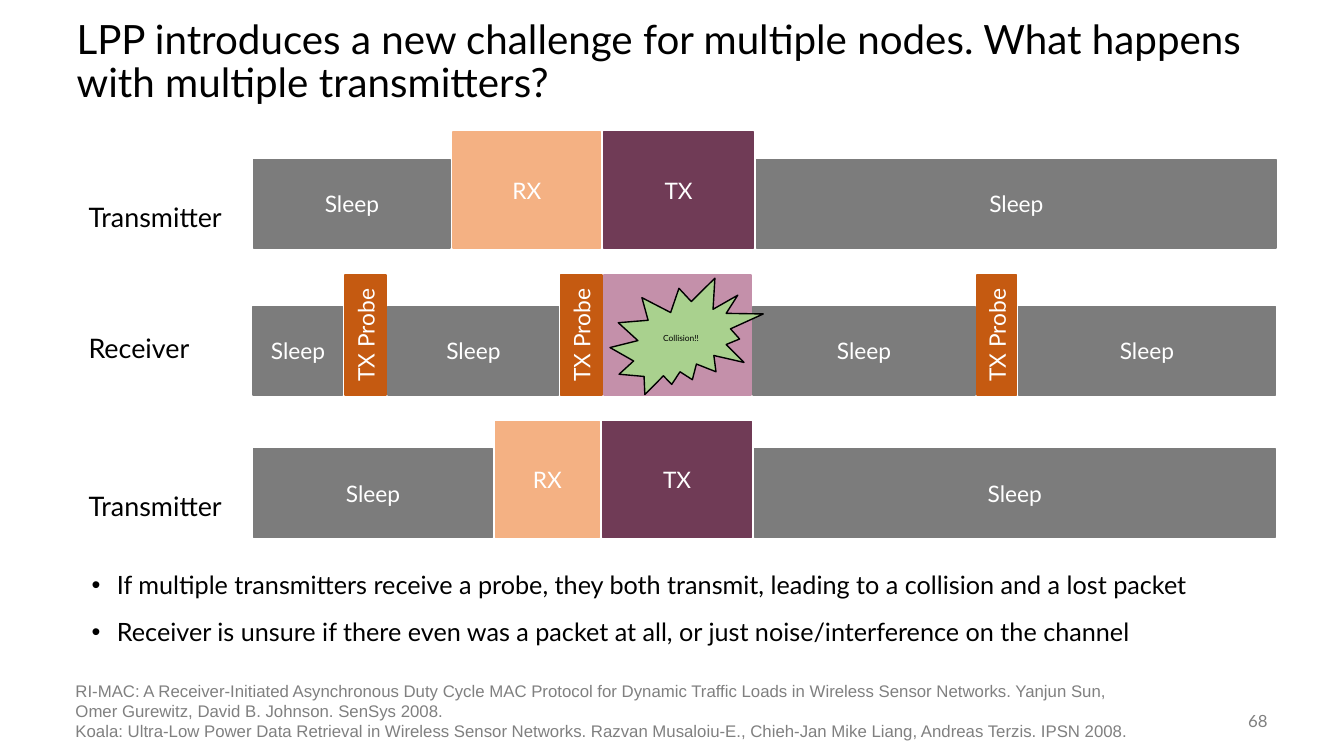
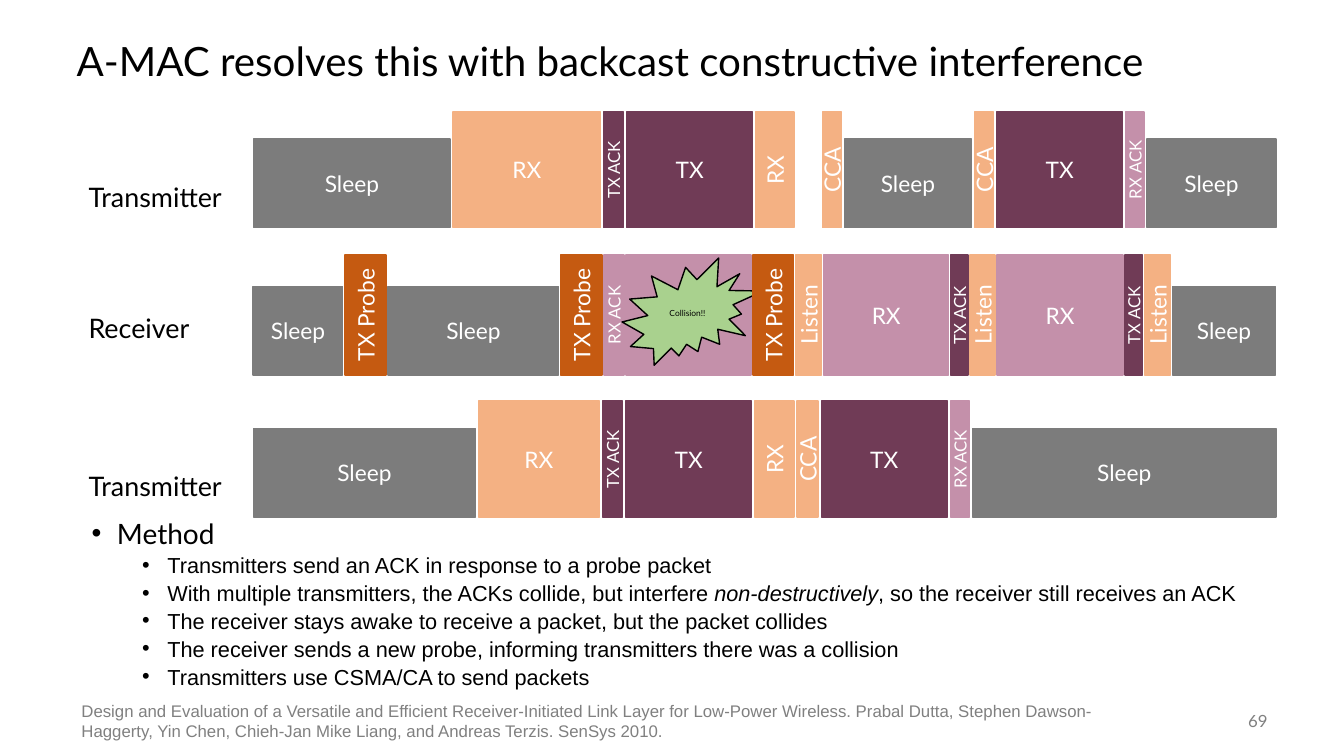
from dataclasses import dataclass

from lxml import etree
from pptx import Presentation
from pptx.dml.color import RGBColor
from pptx.enum.shapes import MSO_SHAPE
from pptx.enum.text import MSO_ANCHOR, MSO_AUTO_SIZE, PP_ALIGN
from pptx.oxml.ns import qn
from pptx.util import Inches, Pt

RECT = MSO_SHAPE.RECTANGLE
BURST = MSO_SHAPE.EXPLOSION2
MIDDLE, TOP = MSO_ANCHOR.MIDDLE, MSO_ANCHOR.TOP
LEFT, CENTER, RIGHT = PP_ALIGN.LEFT, PP_ALIGN.CENTER, PP_ALIGN.RIGHT
NO_FIT = MSO_AUTO_SIZE.NONE


@dataclass(frozen=True)
class Theme:
    font: str = "Lato"
    plain_font: str = "Arial"
    black: str = "000000"
    white: str = "FFFFFF"
    muted: str = "808080"
    sleep: str = "7C7C7C"
    listen: str = "F4B183"
    send: str = "703B56"
    receive: str = "C490AA"
    probe: str = "C55A11"
    burst: str = "A9D18E"
    title: float = 28.8
    label: float = 19.2
    block: float = 16.2
    small: float = 12
    tiny: float = 6


T = Theme()

SLIDE_W, SLIDE_H = 13.33, 7.5
TIME_START = 2.5
SLEEP_H = 0.88
NARROW = 0.5  # blocks slimmer than this carry upright text

# Block kind: label, fill, text size
KINDS = {
    "sleep": ("Sleep", T.sleep, T.block),
    "rx": ("RX", T.listen, T.block),
    "tx": ("TX", T.send, T.block),
    "packet": ("RX", T.receive, T.block),
    "lost packet": ("", T.receive, T.block),
    "probe": ("TX Probe", T.probe, T.block),
    "listen": ("Listen", T.listen, T.block),
    "cca": ("CCA", T.listen, T.block),
    "tx ack": ("TX ACK", T.send, T.small),
    "rx ack": ("RX ACK", T.receive, T.small),
}

# Lane role: block height, gap between blocks, rise of the label above the base
ROLES = {"Transmitter": (1.15, 0.03, 0.52), "Receiver": (1.19, 0.02, 0.68)}
LANES = (("Transmitter", 2.46), ("Receiver", 3.92), ("Transmitter", 5.33))

# Each lane lists (kind, where the block ends); "idle" leaves a space
COLLIDING = (
    (("sleep", 4.48), ("rx", 5.97), ("tx", 7.49), ("sleep", 12.67)),
    (("sleep", 3.41), ("probe", 3.84), ("sleep", 5.55), ("probe", 5.98),
     ("lost packet", 7.46), ("sleep", 9.68), ("probe", 10.09),
     ("sleep", 12.66)),
    (("sleep", 4.9), ("rx", 5.96), ("tx", 7.47), ("sleep", 12.66)),
)
BACKCAST = (
    (("sleep", 4.48), ("rx", 5.97), ("tx ack", 6.2), ("tx", 7.48),
     ("rx", 7.89), ("idle", 8.14), ("cca", 8.36), ("sleep", 9.65),
     ("cca", 9.87), ("tx", 11.15), ("rx ack", 11.36), ("sleep", 12.67)),
    (("sleep", 3.41), ("probe", 3.84), ("sleep", 5.55), ("probe", 5.98),
     ("rx ack", 6.2), ("lost packet", 7.46), ("probe", 7.88),
     ("listen", 8.16), ("packet", 9.42), ("tx ack", 9.61), ("listen", 9.88),
     ("packet", 11.15), ("tx ack", 11.34), ("listen", 11.62),
     ("sleep", 12.66)),
    (("sleep", 4.73), ("rx", 5.96), ("tx ack", 6.19), ("tx", 7.47),
     ("rx", 7.89), ("cca", 8.13), ("tx", 9.41), ("rx ack", 9.63),
     ("sleep", 12.67)),
)


def add_run(p, text, size, color=T.black, font=T.font, italic=None):
    r = p.add_run()
    r.text = text
    r.font.name, r.font.size = font, Pt(size)
    r.font.color.rgb = RGBColor.from_string(color)
    r.font.italic = italic


def place(sp, left, top, width, height):
    sp.left, sp.top = Inches(left), Inches(top)
    sp.width, sp.height = Inches(width), Inches(height)


def add_title(slide, text):
    sp = slide.shapes.title
    place(sp, 0.66, 0.25, 12, 0.75)
    tf = sp.text_frame
    tf.auto_size, tf.vertical_anchor = NO_FIT, MIDDLE
    p = tf.paragraphs[0]
    p.alignment, p.line_spacing = LEFT, 0.9
    add_run(p, text, T.title)


def add_text(slide, box, paragraphs, size, color=T.black, font=T.font,
             align=LEFT, anchor=TOP):
    sp = slide.shapes.add_textbox(*map(Inches, box))
    tf = sp.text_frame
    tf.word_wrap, tf.vertical_anchor = True, anchor
    for i, text in enumerate(paragraphs):
        p = tf.add_paragraph() if i else tf.paragraphs[0]
        p.alignment = align
        add_run(p, text, size, color, font)


def set_bullet(p, indent):
    pPr = p._p.get_or_add_pPr()
    pPr.set("marL", str(Inches(indent)))
    pPr.set("indent", str(Inches(-0.25)))
    etree.SubElement(pPr, qn("a:buFont")).set("typeface", "Arial")
    etree.SubElement(pPr, qn("a:buChar")).set("char", "•")


def add_bullets(slide, top, height, items, sizes, spacing):
    """Fill the body with (level, runs); text between asterisks is italic."""
    sp = slide.placeholders[1]
    place(sp, 0.81, top, 12, height)
    tf = sp.text_frame
    tf.auto_size, tf.vertical_anchor = NO_FIT, TOP
    for i, (level, text) in enumerate(items):
        p = tf.add_paragraph() if i else tf.paragraphs[0]
        set_bullet(p, 0.25 + 0.5 * level)
        p.level, p.line_spacing = level, spacing
        p.space_before = Pt((14, 5)[level] if i else 0)
        font = (T.font, T.plain_font)[level]
        for n, part in enumerate(text.split("*")):
            add_run(p, part, sizes[level], font=font, italic=n % 2 == 1)


def add_block(slide, box, text, fill, size, line=None, color=T.white,
              preset=RECT):
    sp = slide.shapes.add_shape(preset, *map(Inches, box))
    sp.shadow.inherit = False
    sp.fill.solid()
    sp.fill.fore_color.rgb = RGBColor.from_string(fill)
    sp.line.color.rgb = RGBColor.from_string(line or fill)
    sp.line.width = Pt(1)
    if not text:
        return
    tf = sp.text_frame
    tf.margin_left = tf.margin_right = tf.margin_top = tf.margin_bottom = 0
    tf.word_wrap, tf.vertical_anchor = True, MIDDLE
    if box[2] < NARROW:
        sp._element.txBody.bodyPr.set("vert", "vert270")
    p = tf.paragraphs[0]
    p.alignment = CENTER
    add_run(p, text, size, color)


def add_collision(slide, left, lane_top, width):
    add_block(slide, (left, lane_top + 0.03, width, 0.76 * width),
              "Collision!!", T.burst, T.tiny, T.black, T.black, BURST)


def add_lane(slide, role, base, blocks):
    """Draw a labelled row of blocks standing on the line at base."""
    height, gap, rise = ROLES[role]
    add_text(slide, (0.78, base - rise, 1.73, 0.42), [role], T.label,
             anchor=MIDDLE)
    start = TIME_START
    for kind, end in blocks:
        if kind != "idle":
            text, fill, size = KINDS[kind]
            h = SLEEP_H if kind == "sleep" else height
            box = (start + gap / 2, base - h, end - start - gap, h)
            add_block(slide, box, text, fill, size)
        start = end


def add_timeline(slide, lanes, burst, burst_before, shift=0):
    """Draw the lanes; the burst lies under receiver blocks past burst_before."""
    for (role, base), blocks in zip(LANES, lanes):
        base -= shift
        add_lane(slide, role, base, blocks)
        if role == "Receiver":
            top = base - ROLES[role][0]
            add_collision(slide, burst[0], top, burst[1])
            if burst_before:
                raise_block(slide, len(blocks) - burst_before)


def raise_block(slide, count):
    """Move the newest shape back below the count shapes before it."""
    tree = slide.shapes._spTree
    newest = tree[-1]
    tree.remove(newest)
    tree.insert(len(tree) - count, newest)


def add_footer(slide, box, citations, number):
    add_text(slide, box, citations, T.small, T.muted, T.plain_font)
    add_text(slide, (11.67, 6.95, 1, 0.4), [number], T.small, T.muted,
             align=RIGHT, anchor=MIDDLE)


def collision_slide(prs):
    slide = prs.slides.add_slide(prs.slide_layouts[1])
    add_title(slide, "LPP introduces a new challenge for multiple nodes. "
                     "What happens with multiple transmitters?")
    add_timeline(slide, COLLIDING, (6.05, 1.52), None)
    add_bullets(slide, 5.63, 1.13, [
        (0, "If multiple transmitters receive a probe, they both transmit, "
            "leading to a collision and a lost packet"),
        (0, "Receiver is unsure if there even was a packet at all, or just "
            "noise/interference on the channel"),
    ], (18,), 0.9)
    add_footer(slide, (0.65, 6.7, 10.79, 0.69), [
        "RI-MAC: A Receiver-Initiated Asynchronous Duty Cycle MAC Protocol "
        "for Dynamic Traffic Loads in Wireless Sensor Networks. Yanjun Sun, "
        "Omer Gurewitz, David B. Johnson. SenSys 2008.",
        "Koala: Ultra-Low Power Data Retrieval in Wireless Sensor Networks. "
        "Razvan Musaloiu-E., Chieh-Jan Mike Liang, Andreas Terzis. "
        "IPSN 2008.",
    ], "68")


def backcast_slide(prs):
    slide = prs.slides.add_slide(prs.slide_layouts[1])
    add_title(slide, "A-MAC resolves this with backcast constructive "
                     "interference")
    add_timeline(slide, BACKCAST, (6.17, 1.4), 6, shift=0.2)
    add_bullets(slide, 5.14, 1.84, [
        (0, "Method"),
        (1, "Transmitters send an ACK in response to a probe packet"),
        (1, "With multiple transmitters, the ACKs collide, but interfere "
            "*non-destructively*, so the receiver still receives an ACK"),
        (1, "The receiver stays awake to receive a packet, but the packet "
            "collides"),
        (1, "The receiver sends a new probe, informing transmitters there "
            "was a collision"),
        (1, "Transmitters use CSMA/CA to send packets"),
    ], (20, 15.5), 0.8)
    add_footer(slide, (0.71, 6.9, 10.66, 0.5), [
        "Design and Evaluation of a Versatile and Efficient "
        "Receiver-Initiated Link Layer for Low-Power Wireless. Prabal Dutta, "
        "Stephen Dawson-Haggerty, Yin Chen, Chieh-Jan Mike Liang, and "
        "Andreas Terzis. SenSys 2010.",
    ], "69")


def main():
    prs = Presentation()
    prs.slide_width, prs.slide_height = Inches(SLIDE_W), Inches(SLIDE_H)
    collision_slide(prs)
    backcast_slide(prs)
    prs.save("out.pptx")


if __name__ == "__main__":
    main()
